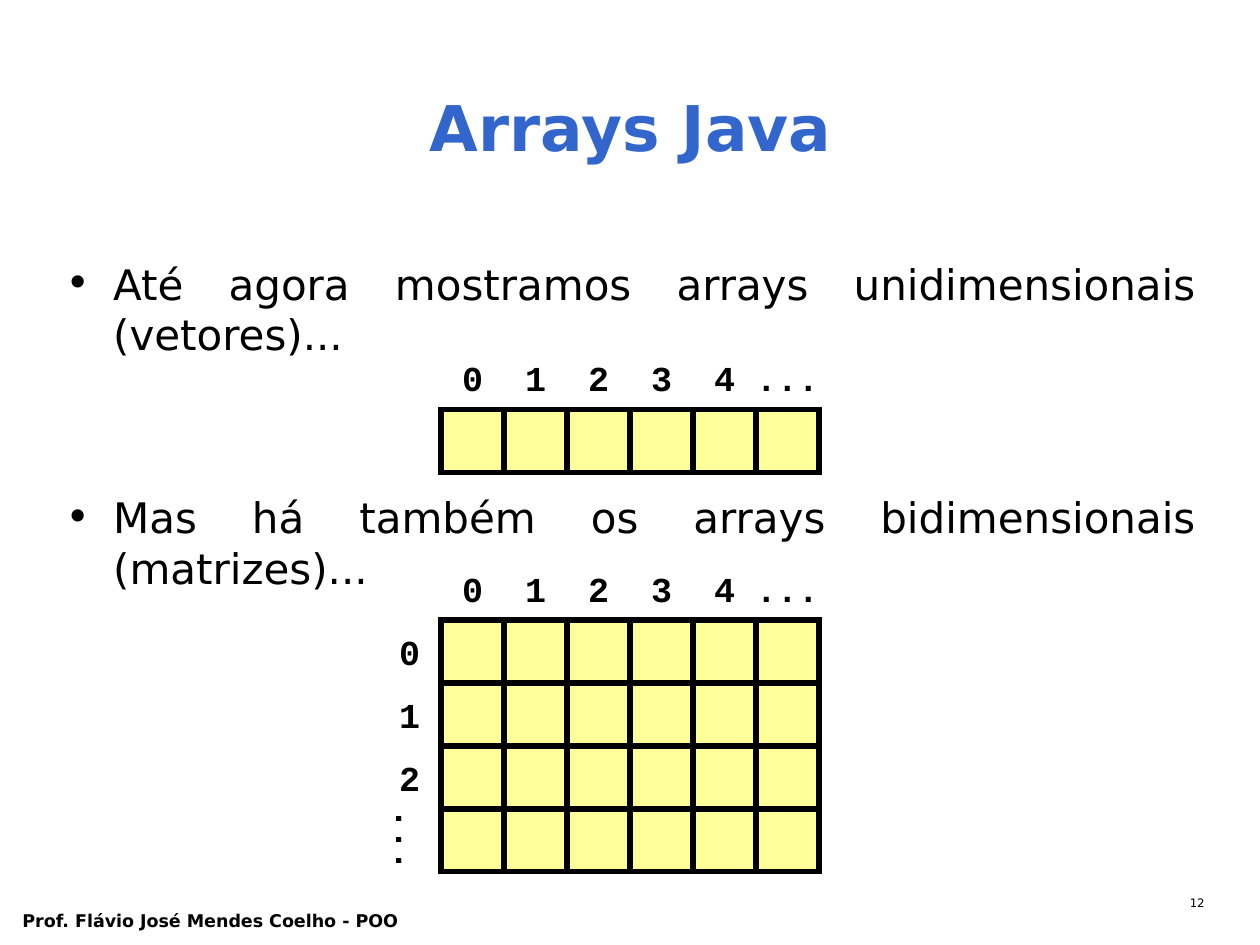
from lxml.etree import SubElement
from pptx import Presentation
from pptx.dml.color import RGBColor
from pptx.enum.shapes import MSO_SHAPE as Shape
from pptx.enum.text import MSO_ANCHOR as Anchor, PP_ALIGN as Align
from pptx.oxml.ns import qn
from pptx.util import Inches, Pt

BLACK = RGBColor(0x00, 0x00, 0x00)
BLUE = RGBColor(0x33, 0x66, 0xCC)
YELLOW = RGBColor(0xFF, 0xFF, 0x99)
SANS = "DejaVu Sans"
MONO = "Courier New"
CELL = 0.5
SLACK = 0.02
LEFT = 3.5
HEADS = ["0", "1", "2", "3", "4", "..."]


def write(para, text, size=24, font=SANS, color=BLACK, bold=False, align=Align.LEFT):
    """Put formatted text in a paragraph."""
    para.alignment = align
    run = para.add_run()
    run.text = text
    run.font.size = Pt(size)
    run.font.name = font
    run.font.bold = bold
    run.font.color.rgb = color


def add_box(shapes, at):
    """Add an empty text box."""
    box = shapes.add_textbox(*map(Inches, at))
    box.text_frame.word_wrap = True
    return box


def add_title(slide, text):
    """Place and fill the title."""
    title = slide.shapes.title
    title.left, title.top = Inches(0.42), Inches(0.25)
    title.width, title.height = Inches(9.17), Inches(1.5)
    frame = title.text_frame
    frame.vertical_anchor = Anchor.MIDDLE
    write(frame.paragraphs[0], text, size=36, color=BLUE, bold=True, align=Align.CENTER)


def add_bullet(para, text, before):
    """Write a justified bullet with a hanging indent."""
    write(para, text, align=Align.JUSTIFY)
    para.space_before = Pt(before)
    props = para._p.get_or_add_pPr()
    props.set("marL", str(Inches(0.38)))
    props.set("indent", str(-Inches(0.38)))
    SubElement(props, qn("a:buFont")).set("typeface", SANS)
    SubElement(props, qn("a:buChar")).set("char", "•")


def add_label(shapes, text, left, top, anchor=Anchor.MIDDLE):
    """Add an index label centred over one cell's space."""
    box = add_box(shapes, (left - SLACK / 2, top, CELL + SLACK, CELL))
    frame = box.text_frame
    frame.margin_left = frame.margin_right = 0
    frame.vertical_anchor = anchor
    write(frame.paragraphs[0], text, size=20, font=MONO, bold=True, align=Align.CENTER)
    return box


def add_cell(shapes, left, top):
    """Add one array cell with square corners."""
    cell = shapes.add_shape(Shape.RECTANGLE, *map(Inches, (left, top, CELL, CELL)))
    cell.shadow.inherit = False
    cell.fill.solid()
    cell.fill.fore_color.rgb = YELLOW
    cell.line.color.rgb = BLACK
    cell.line.width = Pt(3)
    edge = cell._element.spPr.find(qn("a:ln"))
    SubElement(edge, qn("a:miter")).set("lim", "800000")


def add_array(slide, top, rows):
    """Draw a grouped array with its column labels."""
    shapes = slide.shapes.add_group_shape().shapes
    for col, head in enumerate(HEADS):
        left = LEFT + col * CELL
        add_label(shapes, head, left, top - CELL)
        for row in range(rows):
            add_cell(shapes, left, top + row * CELL)
    return shapes


def add_matrix(slide, top):
    """Draw the matrix with its row labels."""
    shapes = add_array(slide, top, 4)
    for row, head in enumerate(HEADS[:3]):
        add_label(shapes, head, LEFT - CELL, top + row * CELL)
    dots = add_label(shapes, "...", 2.97, top + 3 * CELL, anchor=Anchor.TOP)
    dots.rotation = 90


def main():
    """Build the slide and save it."""
    deck = Presentation()
    deck.slide_width, deck.slide_height = Inches(10), Inches(7.5)
    slide = deck.slides.add_slide(deck.slide_layouts[5])
    foot = add_box(slide.shapes, (0.08, 7.17, 4.02, 0.33))
    write(foot.text_frame.paragraphs[0], "Prof. Flávio José Mendes Coelho - POO", size=10, bold=True)
    page = add_box(slide.shapes, (7.58, 7.08, 2.08, 0.25)).text_frame.paragraphs[0]
    write(page, "12", size=6.7, align=Align.RIGHT)
    page.line_spacing = 0.8
    add_title(slide, "Arrays Java")
    body = add_box(slide.shapes, (0.42, 2, 9.17, 5)).text_frame
    add_bullet(body.paragraphs[0], "Até agora mostramos arrays unidimensionais (vetores)...", 6)
    add_bullet(body.add_paragraph(), "Mas há também os arrays bidimensionais (matrizes)...", 76)
    add_array(slide, 3.25, 1)
    add_matrix(slide, 4.92)
    deck.save("out.pptx")


if __name__ == "__main__":
    main()
